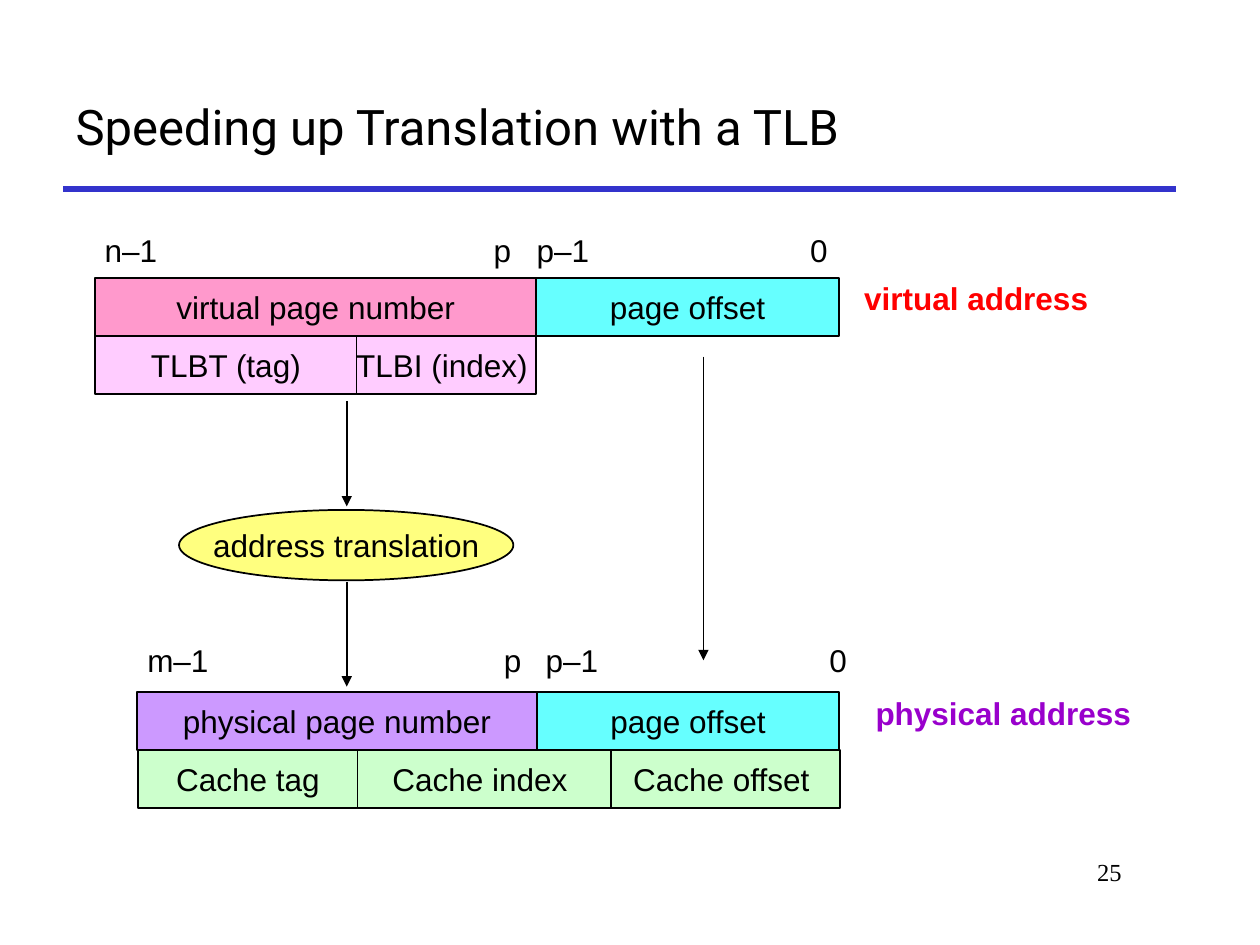
from lxml.etree import SubElement
from pptx import Presentation
from pptx.dml.color import RGBColor
from pptx.enum.shapes import MSO_CONNECTOR, MSO_SHAPE
from pptx.enum.text import MSO_ANCHOR, PP_ALIGN
from pptx.oxml.ns import qn
from pptx.util import Cm, Pt

COLORS = {
    "black": "000000",
    "rule": "3333CC",
    "virtual page": "FF99CC",
    "offset": "66FFFF",
    "lookup": "FFCCFF",
    "physical page": "CC99FF",
    "cache": "CCFFCC",
    "translation": "FFFF00",
    "virtual label": "FF0000",
    "physical label": "9900CC",
}
FIELD_HEIGHT = 1.17
LABEL_HEIGHT = 1.02


def color(name):
    return RGBColor.from_string(COLORS[name])


def write_text(shape, text, font="Arial", size=18, ink="black", bold=False,
               align=PP_ALIGN.LEFT, anchor=MSO_ANCHOR.TOP, wrap=False):
    frame = shape.text_frame
    frame.word_wrap = wrap
    frame.vertical_anchor = anchor
    paragraph = frame.paragraphs[0]
    paragraph.alignment = align
    run = paragraph.add_run()
    run.text = text
    run.font.name = font
    run.font.size = Pt(size)
    run.font.bold = bold
    run.font.color.rgb = color(ink)


def add_label(slide, text, left, top, width, height=LABEL_HEIGHT, **text_format):
    label = slide.shapes.add_textbox(Cm(left), Cm(top), Cm(width), Cm(height))
    write_text(label, text, **text_format)


def add_block(slide, kind, text, left, top, width, height, fill):
    shape = slide.shapes.add_shape(kind, Cm(left), Cm(top), Cm(width), Cm(height))
    shape.shadow.inherit = False
    shape.fill.solid()
    shape.fill.fore_color.rgb = color(fill)
    shape.line.color.rgb = color("black")
    shape.line.width = Pt(1)
    write_text(shape, text, align=PP_ALIGN.CENTER, anchor=MSO_ANCHOR.MIDDLE)
    return shape


def add_field_row(slide, left, top, fields):
    for text, width, fill in fields:
        add_block(slide, MSO_SHAPE.RECTANGLE, text, left, top, width, FIELD_HEIGHT, fill)
        left += width


def add_bit_labels(slide, top, labels):
    for text, left in labels:
        add_label(slide, text, left, top, 0.86 if len(text) == 1 else 1.8)


def add_line(slide, start, end, ink="black", width=1):
    line = slide.shapes.add_connector(
        MSO_CONNECTOR.STRAIGHT, *(Cm(value) for value in start + end))
    line.line.color.rgb = color(ink)
    line.line.width = Pt(width)
    SubElement(line._element.spPr, qn("a:effectLst"))
    return line


def add_arrow(slide, x, top, bottom):
    arrow = add_line(slide, (x, top), (x, bottom))
    SubElement(arrow.line._get_or_add_ln(), qn("a:tailEnd"), type="triangle")


def add_title(slide, text):
    title = slide.shapes.title
    title.left, title.top = Cm(1.27), Cm(1.27)
    title.width, title.height = Cm(22.43), Cm(2.54)
    write_text(title, text, font="Roboto", size=28, anchor=MSO_ANCHOR.MIDDLE, wrap=True)


def add_translation(slide):
    ellipse = add_block(slide, MSO_SHAPE.OVAL, "address translation",
                        3.61, 10.28, 6.74, 1.42, "translation")
    fill_color = ellipse._element.spPr.find(qn("a:solidFill"))[0]
    SubElement(fill_color, qn("a:alpha"), val="50000")


def main():
    presentation = Presentation()
    presentation.slide_width, presentation.slide_height = Cm(25.4), Cm(19.05)
    slide = presentation.slides.add_slide(presentation.slide_layouts[5])

    add_line(slide, (1.27, 3.81), (23.7, 3.81), ink="rule", width=3)
    add_title(slide, "Speeding up Translation with a TLB")

    add_bit_labels(slide, 4.53, [("n–1", 1.86), ("p", 9.7), ("p–1", 10.57), ("0", 16.08)])
    add_field_row(slide, 1.92, 5.6, [
        ("virtual page number", 8.89, "virtual page"),
        ("page offset", 6.1, "offset"),
    ])
    add_field_row(slide, 1.92, 5.6 + FIELD_HEIGHT, [
        ("TLBT (tag)", 5.27, "lookup"),
        ("TLBI (index) ", 3.62, "lookup"),
    ])
    add_label(slide, "virtual address", 17.17, 5.5, 5.05, ink="virtual label", bold=True)

    add_translation(slide)
    add_arrow(slide, 6.99, 8.08, 10.21)
    add_arrow(slide, 6.99, 11.73, 13.84)
    add_arrow(slide, 14.18, 7.19, 13.31)

    add_bit_labels(slide, 12.8, [("m–1", 2.72), ("p", 9.91), ("p–1", 10.75), ("0", 16.47)])
    add_field_row(slide, 2.77, 13.95, [
        ("physical page number", 8.05, "physical page"),
        ("page offset", 6.1, "offset"),
    ])
    add_field_row(slide, 2.79, 13.95 + FIELD_HEIGHT, [
        ("Cache tag", 4.42, "cache"),
        ("Cache index ", 5.11, "cache"),
        ("Cache offset ", 4.62, "cache"),
    ])
    add_label(slide, "physical address", 17.4, 13.87, 5.72, ink="physical label", bold=True)

    add_label(slide, "25", 19.25, 17.15, 3.61, 1.27, font="Times New Roman", size=14,
              align=PP_ALIGN.RIGHT, wrap=True)
    presentation.save("out.pptx")


if __name__ == "__main__":
    main()
